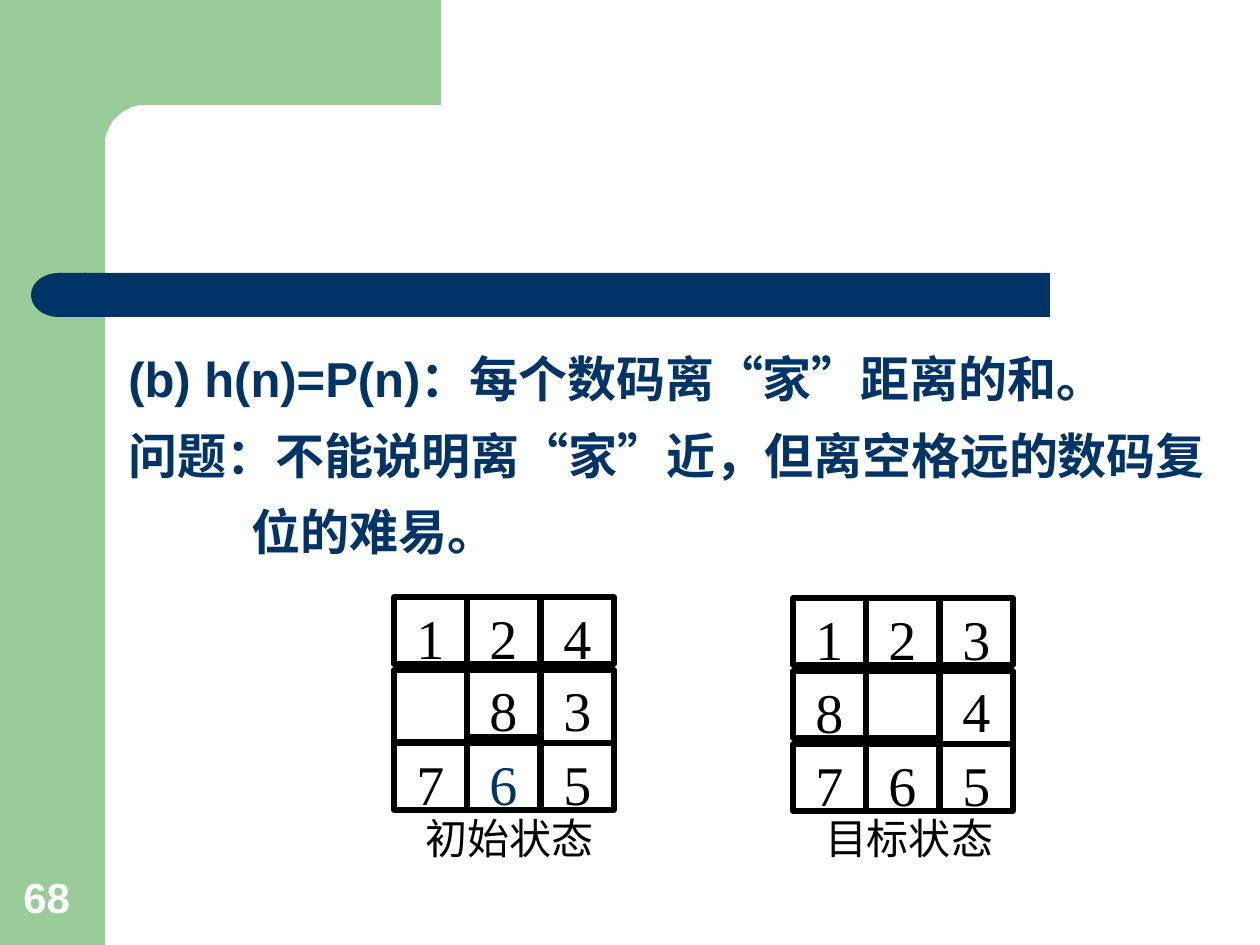
"""Builds the eight-puzzle slide on the h(n)=P(n) heuristic."""
from dataclasses import dataclass
from math import cos, pi, sin

from pptx import Presentation
from pptx.dml.color import RGBColor as Rgb
from pptx.enum.shapes import MSO_SHAPE as Kind
from pptx.enum.text import MSO_ANCHOR as Anchor, PP_ALIGN as Align
from pptx.util import Emu, Pt

SCALE = 914400 / 126
COLORS = {"green": "99CC99", "navy": "003366", "white": "FFFFFF", "black": "000000"}
CELL, TALL, PITCH = 67, 73, 73


@dataclass
class Box:
    left: int
    top: int
    width: int
    height: int


@dataclass
class Style:
    size: float
    font: str
    color: str
    bold: bool = False
    align: Align = Align.LEFT


@dataclass
class Line:
    text: str
    margin: int
    indent: int


@dataclass
class Board:
    left: int
    top: int
    rows: tuple[str, str, str]
    mids: tuple[int, int, int]
    accent: str
    label: str
    place: Box


def px(value: int) -> Emu:
    return Emu(round(value * SCALE))


def rgb(name: str) -> Rgb:
    return Rgb.from_string(COLORS[name])


def area(box: Box) -> tuple[Emu, ...]:
    return px(box.left), px(box.top), px(box.width), px(box.height)


def paint(shape, color: str) -> None:
    shape.shadow.inherit = False
    shape.fill.solid()
    shape.fill.fore_color.rgb = rgb(color)
    shape.line.fill.background()


def style(para, look: Style) -> None:
    para.alignment = look.align
    for run in para.runs:
        font = run.font
        font.size, font.name, font.bold = Pt(look.size), look.font, look.bold
        font.color.rgb = rgb(look.color)


def draw_text(slide, box: Box, text: str, look: Style, anchor: Anchor = Anchor.TOP) -> None:
    frame = slide.shapes.add_textbox(*area(box)).text_frame
    frame.word_wrap = True
    frame.vertical_anchor = anchor
    frame.text = text
    style(frame.paragraphs[0], look)


def draw_frame(slide) -> None:
    shapes = slide.shapes
    paint(shapes.add_shape(Kind.RECTANGLE, *area(Box(0, 0, 105, 945))), "green")
    turns = [pi / 2 * step / 12 for step in range(13)]
    curve = [(146 - 41 * sin(turn), 146 - 41 * cos(turn)) for turn in turns]
    points = [(441, 0), (441, 105), *curve, (105, 161), (63, 161), (63, 0)]
    pen = shapes.build_freeform(*points[0], scale=SCALE)
    pen.add_line_segments(points[1:], close=True)
    paint(pen.convert_to_shape(), "green")
    paint(shapes.add_shape(Kind.RECTANGLE, *area(Box(84, 273, 966, 44))), "navy")
    cap = shapes.add_shape(Kind.FLOWCHART_DELAY, *area(Box(31, 273, 55, 44)))
    paint(cap, "navy")
    cap.rotation = 180


def draw_body(slide, box: Box, lines: list[Line], look: Style) -> None:
    frame = slide.shapes.add_textbox(*area(box)).text_frame
    frame.word_wrap = True
    frame.text = "\n".join(line.text for line in lines)
    for para, line in zip(frame.paragraphs, lines):
        para.line_spacing = 1.3
        props = para._p.get_or_add_pPr()
        props.set("marL", str(px(line.margin)))
        props.set("indent", str(px(line.indent)))
        style(para, look)


def draw_cell(slide, box: Box, digit: str, color: str) -> None:
    cell = slide.shapes.add_shape(Kind.RECTANGLE, *area(box))
    cell.shadow.inherit = False
    cell.fill.background()
    cell.line.color.rgb = rgb("black")
    cell.line.width = Pt(3)
    if digit == " ":
        return
    frame = cell.text_frame
    frame.margin_left = frame.margin_right = frame.margin_bottom = 0
    frame.margin_top = px(6)
    frame.vertical_anchor = Anchor.MIDDLE if box.height == TALL else Anchor.TOP
    frame.text = digit
    style(frame.paragraphs[0], Style(32, "Times New Roman", color, align=Align.CENTER))


def draw_board(slide, board: Board) -> None:
    for row, digits in enumerate(board.rows):
        for col, digit in enumerate(digits):
            height = board.mids[col] if row == 1 else CELL
            box = Box(board.left + 147 * col // 2, board.top + PITCH * row, PITCH, height)
            draw_cell(slide, box, digit, "navy" if digit == board.accent else "black")
    draw_text(slide, board.place, board.label, Style(24, "Comic Neue", "black", align=Align.CENTER))


def main() -> None:
    deck = Presentation()
    deck.slide_width, deck.slide_height = px(1260), px(945)
    slide = deck.slides.add_slide(deck.slide_layouts[6])
    lines = [
        Line("(b) h(n)=P(n)：每个数码离“家”距离的和。", 48, -48),
        Line("问题：不能说明离“家”近，但离空格远的数码复", 48, -48),
        Line("位的难易。", 123, 0),
    ]
    boards = [
        Board(394, 597, ("124", " 83", "765"), (72, CELL, TALL), "6",
              "初始状态", Box(394, 806, 231, 63)),
        Board(793, 598, ("123", "8 4", "765"), (CELL, CELL, TALL), "",
              "目标状态", Box(804, 806, 210, 63)),
    ]
    draw_frame(slide)
    draw_text(slide, Box(11, 861, 81, 67), "68", Style(24, "Arial", "white", True), Anchor.BOTTOM)
    draw_body(slide, Box(116, 325, 1120, 513), lines, Style(28, "Arial", "navy", True))
    for board in boards:
        draw_board(slide, board)
    deck.save("out.pptx")


if __name__ == "__main__":
    main()
